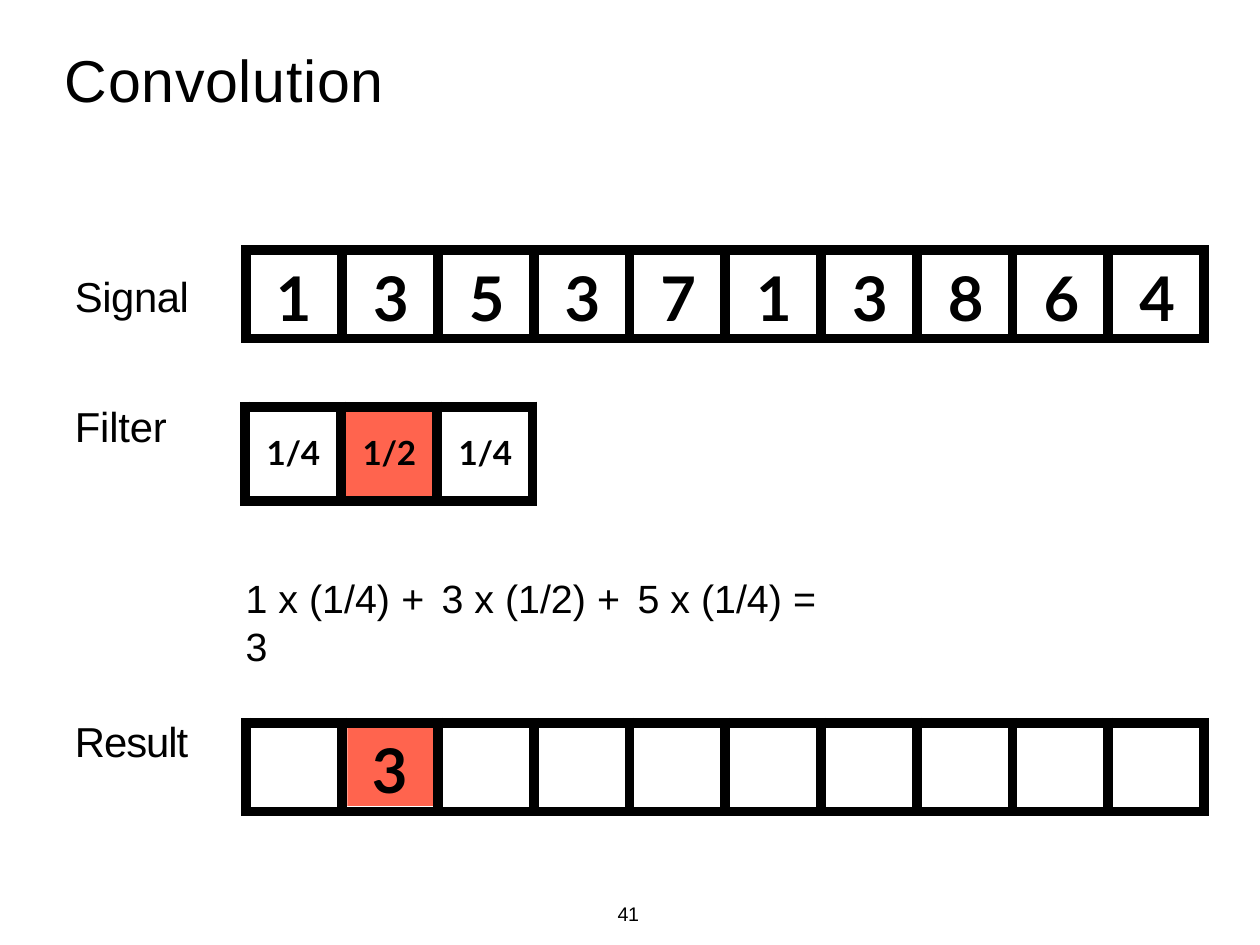
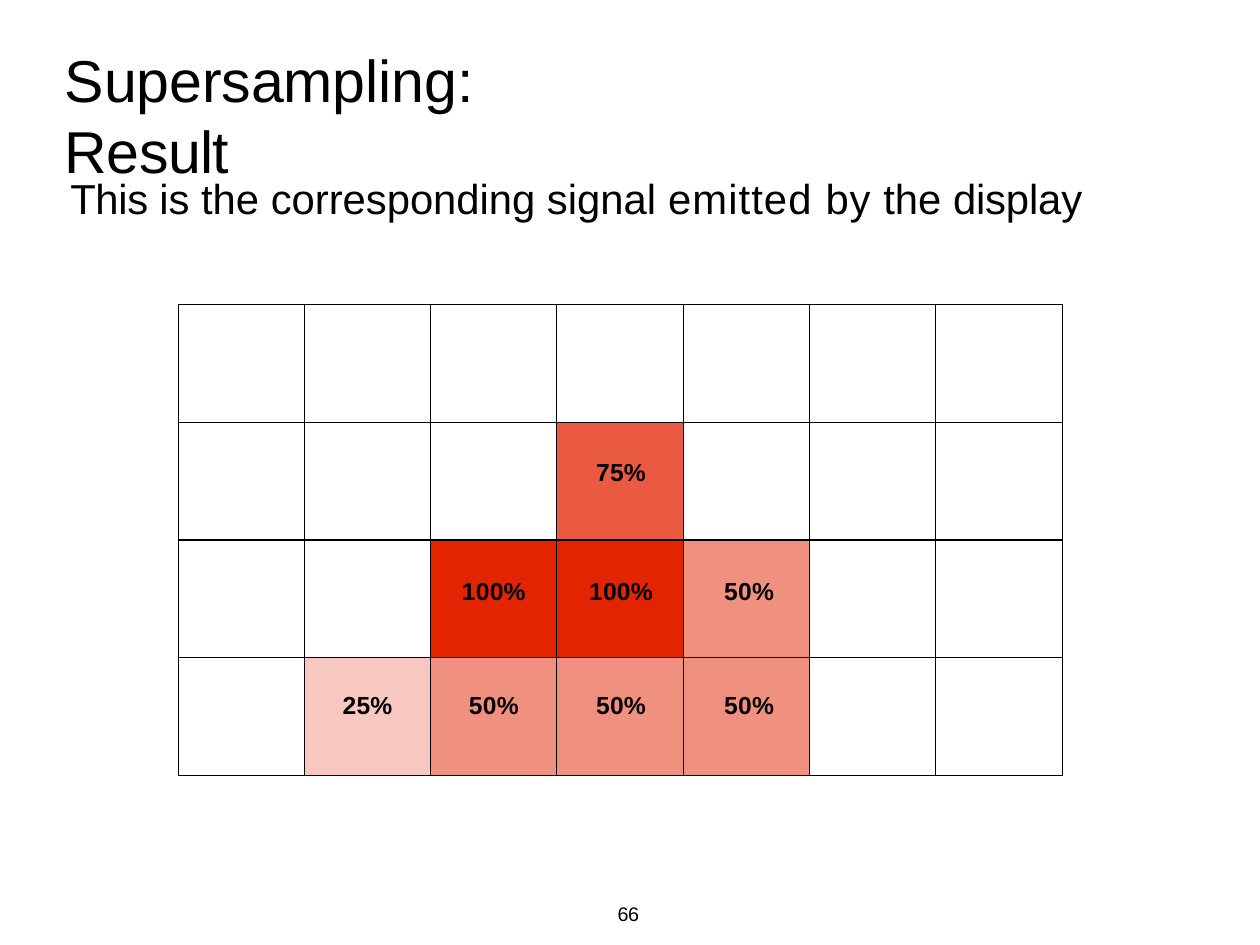
from lxml import etree
from pptx import Presentation
from pptx import util as u
from pptx.dml.color import RGBColor
from pptx.enum import shapes, text
from pptx.oxml import ns

Pt = u.Pt
COLORS = {"ink": "000000", "mark": "FF644E", "signal": "E32400"}


def rgb(name):
    return RGBColor.from_string(COLORS[name])


def sub(parent, tag, **attrs):
    return etree.SubElement(parent, ns.qn(tag), **attrs)


class Deck:
    """Holds the shared style and the current slide."""
    BODY, DIGITS = "Arial", "Lato"
    LINE = 8

    def __init__(self):
        self.prs = Presentation()
        self.prs.slide_width, self.prs.slide_height = Pt(1024), Pt(768)

    def slide(self, number, title, title_width):
        self.s = self.prs.slides.add_slide(self.prs.slide_layouts[6])
        self.text(51.8, 34.5, title_width, 60, title, 48)
        self.text(487.5, 732, 37.5, 22, [(number, -0.2)], 16, left=14.4)

    def style(self, p, runs, size, font=BODY, bold=False):
        p.font.size, p.font.name, p.font.bold = Pt(size), font, bold
        p.font.color.rgb = rgb("ink")
        for words, spacing in runs:
            r = p.add_run()
            r.text = words
            r._r.get_or_add_rPr().set("spc", str(round(spacing * 100)))

    def fill_text(self, sp, runs, size, left=1, top=1, tabs=(), **look):
        tf = sp.text_frame
        tf.word_wrap = True
        tf.vertical_anchor = text.MSO_ANCHOR.TOP
        tf.margin_left, tf.margin_top = Pt(left), Pt(top)
        tf.margin_right = tf.margin_bottom = 0
        p = tf.paragraphs[0]
        p.alignment = text.PP_ALIGN.LEFT
        if tabs:
            stops = sub(p._p.get_or_add_pPr(), "a:tabLst")
            for x in tabs:
                sub(stops, "a:tab", pos=str(Pt(x)), algn="l")
        self.style(p, runs, size, **look)

    def text(self, x, y, w, h, runs, size, **look):
        sp = self.s.shapes.add_textbox(Pt(x), Pt(y), Pt(w), Pt(h))
        self.fill_text(sp, runs, size, **look)

    def digits(self, x, y, w, h, runs, size, **look):
        self.text(x, y, w, h, runs, size, font=self.DIGITS, bold=True, **look)

    def block(self, x, y, w, h):
        sp = self.s.shapes.add_shape(shapes.MSO_SHAPE.RECTANGLE,
                                     Pt(x), Pt(y), Pt(w), Pt(h))
        sp.shadow.inherit = False
        sp.fill.solid()
        sp.fill.fore_color.rgb = rgb("mark")
        sp.line.fill.background()

    def strip(self, x, y, pitch, height, count):
        """Outline of one row of cells, as a single open freeform."""
        over = self.LINE / 2
        right, bottom = x + pitch * count, y + height
        strokes = [((x + pitch * i, y - over), (x + pitch * i, bottom + over))
                   for i in range(count + 1)]
        strokes += [((x - over, v), (right + over, v)) for v in (y, bottom)]
        outline = self.s.shapes.build_freeform(*map(Pt, strokes[0][0]), scale=1.0)
        for start, end in strokes:
            outline.move_to(*map(Pt, start))
            outline.add_line_segments([tuple(map(Pt, end))], close=False)
        sp = outline.convert_to_shape()
        sp.shadow.inherit = False
        sp.fill.background()
        sp.line.color.rgb = rgb("ink")
        sp.line.width = Pt(self.LINE)

    def coverage(self, x, y, w, h, rows, tops, shifts):
        """Table of percentages, each cell tinted by its own value."""
        table = self.s.shapes.add_table(len(rows), len(rows[0]),
                                        Pt(x), Pt(y), Pt(w), Pt(h)).table
        table.first_row = table.horz_banding = False
        for i, row in enumerate(rows):
            for j, value in enumerate(row):
                cell = table.cell(i, j)
                self.borders(cell)
                cell.margin_right = cell.margin_bottom = 0
                cell.margin_left, cell.margin_top = Pt(shifts[j]), Pt(tops[i])
                if not value:
                    cell.fill.background()
                    continue
                cell.fill.solid()
                cell.fill.fore_color.rgb = rgb("signal")
                tint = cell._tc.tcPr.find(ns.qn("a:solidFill"))[0]
                sub(tint, "a:alpha", val=str(value * 1000))
                p = cell.text_frame.paragraphs[0]
                p.alignment = text.PP_ALIGN.CENTER
                self.style(p, [(f"{value}%", 0.2)], 20, bold=True)

    def borders(self, cell):
        for side in "LRTB":
            ln = sub(cell._tc.get_or_add_tcPr(), f"a:ln{side}", w=str(Pt(1)))
            sub(sub(ln, "a:solidFill"), "a:srgbClr", val=COLORS["ink"])


def convolution(d):
    d.slide("41", [("Convolution", 0.6)], 920)
    x, pitch, height = 200.2, 77.84, 72

    # Row labels
    for label, y, spacing in (("Signal", 219, -0.3), ("Filter", 324.7, -0.1),
                              ("Result", 581, -0.8)):
        d.text(59.8, y, 95, 42, [(label, spacing)], 34)

    # Signal
    d.digits(223.2, 210.2, 733, 62, [("1\t3\t5\t3\t7\t1\t3\t8\t6\t4", -0.5)], 50,
             tabs=[1.2 + pitch * i for i in range(1, 10)])
    d.strip(x, 203.2, pitch, height, 10)

    # Result
    d.block(282.3, 591, 70, 64)
    d.digits(196.5, 583.5, 786, 80, [("3", 0.3)], 50, left=105.8, top=11.5)
    d.strip(x, 587.5, pitch, height, 10)

    # Weighted sum
    d.text(198.7, 465.8, 482, 40,
           [("1 x (1/4) ", 0), ("+ ", 2.6), ("3 x (1/2) ", 0), ("+ ", 2.6),
            ("5 x (1/4) ", 0), ("= ", 2.6), ("3", -0.5)], 32)

    # Filter
    d.block(281, 334.8, 70, 69)
    for i, weight in enumerate(("1/4", "1/2", "1/4")):
        d.digits(203 + 78 * i, 350, 70, 34.5, [(weight, -0.2)], 27, left=13.7)
    d.strip(199.4, 330.5, 77.8, 77, 3)


def supersampling(d):
    d.slide("66", [("Supersampling: ", -0.1), ("Result", -0.5)], 478)
    d.text(56.2, 139, 830, 42,
           [("This ", -0.3), ("is the corresponding signal ", 0), ("emitted ", 0.9),
            ("by ", 0.5), ("the ", 0), ("display", -0.1)], 34)

    # Share of each display pixel that is covered
    d.coverage(144.7, 247.7, 718.6, 382.4,
               [[0, 0, 0, 0, 0, 0, 0],
                [0, 0, 0, 75, 0, 0, 0],
                [0, 0, 100, 100, 50, 0, 0],
                [0, 25, 50, 50, 50, 0, 0]],
               tops=(0, 30, 31, 28), shifts=(0, 0, 0, 1.5, 4.5, 0, 0))


def main():
    d = Deck()
    convolution(d)
    supersampling(d)
    d.prs.save("out.pptx")


if __name__ == "__main__":
    main()
